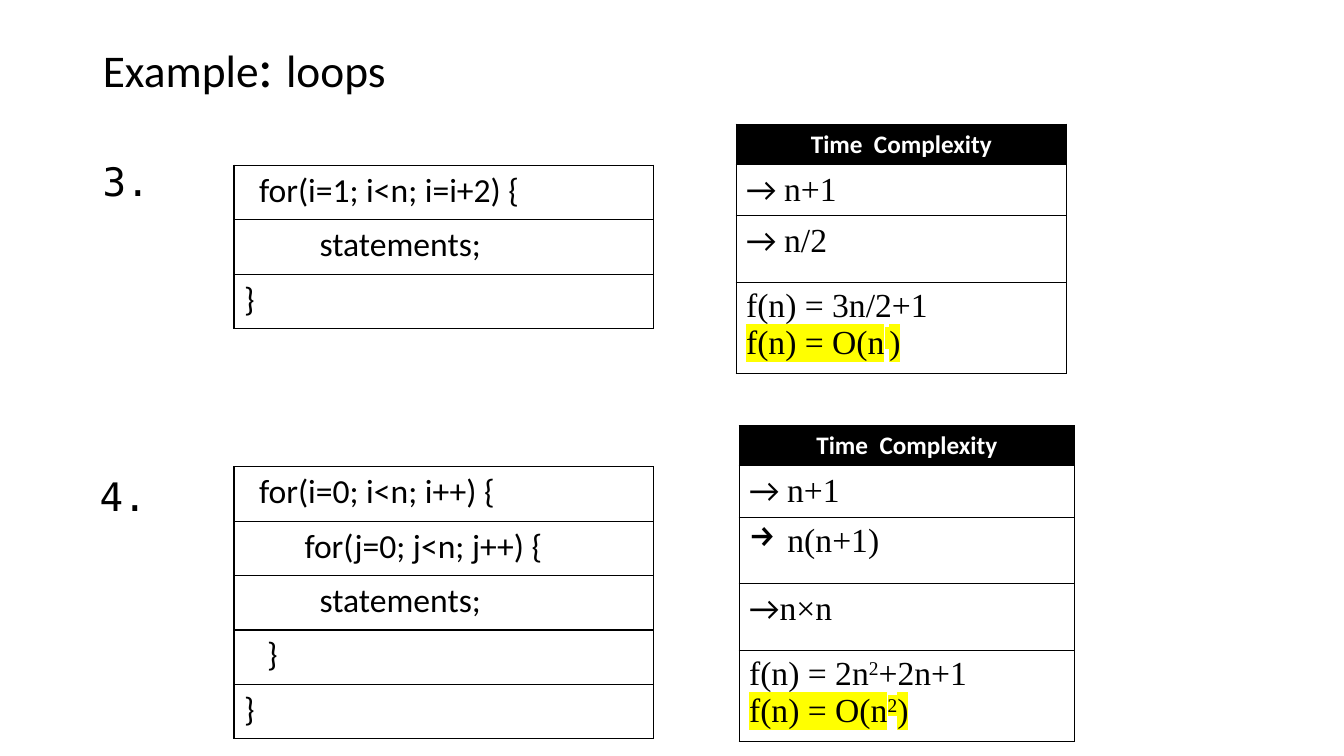
from lxml.etree import SubElement
from pptx import Presentation
from pptx.dml.color import RGBColor
from pptx.enum.text import MSO_ANCHOR, MSO_AUTO_SIZE, PP_ALIGN
from pptx.oxml.ns import qn
from pptx.util import Inches, Pt

BLACK, WHITE, YELLOW = "000000", "FFFFFF", "FFFF00"
SANS, SERIF, MONO = "Calibri", "Times New Roman", "DejaVu Sans Mono"


def tint(code):
    return RGBColor.from_string(code)


def put(par, text, size=24, font=SANS, color=BLACK, bold=False, mark=None, base=0):
    run = par.add_run()
    run.text = text
    run.font.size = Pt(size)
    run.font.bold = bold
    run.font.color.rgb = tint(color)
    if mark:
        prop = run.font.fill._xPr
        light = SubElement(prop, qn("a:highlight"))
        SubElement(light, qn("a:srgbClr"), val=mark)
    if base:
        run.font._element.set("baseline", str(base * 1000))
    run.font.name = font


def frame(cell, width):
    prop = cell._tc.get_or_add_tcPr()
    for side in ("lnL", "lnR", "lnT", "lnB"):
        line = SubElement(prop, qn(f"a:{side}"), w=str(Pt(width)))
        fill = SubElement(line, qn("a:solidFill"))
        SubElement(fill, qn("a:srgbClr"), val=BLACK)


def grid(slide, box, rows, width):
    left, top, wide = box
    shape = slide.shapes.add_table(
        len(rows), 1, Inches(left), Inches(top), Inches(wide), Inches(sum(rows)))
    table = shape.table
    table.first_row = table.horz_banding = False
    for row, high in zip(table.rows, rows):
        row.height = Inches(high)
        frame(row.cells[0], width)
        row.cells[0].fill.background()
    return [row.cells[0] for row in table.rows]


def code(slide, box, lines):
    cells = grid(slide, box, [0.54] * len(lines), 1)
    for cell, (indent, text) in zip(cells, lines):
        cell.margin_left = Inches(0.1 + indent)
        put(cell.text_frame.paragraphs[0], text)


def arrow(par):
    prop = par._p.get_or_add_pPr()
    prop.set("marL", str(Inches(0.38)))
    prop.set("indent", str(-Inches(0.38)))
    SubElement(prop, qn("a:buChar"), char="→")


def cost(slide, box, steps, total, order):
    rows = [0.4, 0.51] + [0.66] * (len(steps) - 1) + [0.84]
    head, *body, last = grid(slide, box, rows, 0.5)
    head.fill.solid()
    head.fill.fore_color.rgb = tint(BLACK)
    par = head.text_frame.paragraphs[0]
    par.alignment = PP_ALIGN.CENTER
    put(par, "Time  Complexity", size=18, color=WHITE, bold=True)
    for cell, (lead, text) in zip(body, steps):
        par = cell.text_frame.paragraphs[0]
        if lead:
            put(par, lead)
        else:
            arrow(par)
        put(par, text, font=SERIF)
    sums = last.text_frame
    for par, runs, mark in ((sums.paragraphs[0], total, None),
                            (sums.add_paragraph(), order, YELLOW)):
        for text, base in runs:
            put(par, text, font=SERIF, mark=mark, base=base)


def label(slide, left, top, text):
    box = slide.shapes.add_textbox(Inches(left), Inches(top), Inches(1.2), Inches(1))
    area = box.text_frame
    area.word_wrap = True
    area.margin_top = Inches(0.52)
    par = area.paragraphs[0]
    par.line_spacing = 0.9
    put(par, text, size=28, font=MONO)


def heading(slide, left, top, wide, high):
    title = slide.shapes.title
    title.left, title.top = Inches(left), Inches(top)
    title.width, title.height = Inches(wide), Inches(high)
    area = title.text_frame
    area.auto_size = MSO_AUTO_SIZE.NONE
    area.vertical_anchor = MSO_ANCHOR.MIDDLE
    par = area.paragraphs[0]
    par.alignment = PP_ALIGN.LEFT
    par.line_spacing = 0.9
    for text, size in (("Example", 32.4), (": ", 39.6), ("loops", 32.4)):
        put(par, text, size=size)


def main():
    deck = Presentation()
    deck.slide_width, deck.slide_height = Inches(13.33), Inches(7.5)
    slide = deck.slides.add_slide(deck.slide_layouts[5])
    heading(slide, 0.92, 0.4, 11.14, 0.58)

    label(slide, 0.92, 1.09, "3.")
    code(slide, (2.32, 1.64, 4.16), [
        (0.15, "for(i=1; i<n; i=i+2) {"), (0.75, "statements;"), (0, "}")])
    cost(slide, (7.3, 1.23, 3.28), [("→ ", "n+1"), ("→ ", "n/2")],
         [("f(n) = 3n/2+1", 0)], [("f(n) = O(n", 0), (" ", 30), (")", 0)])

    label(slide, 0.89, 4.22, "4.")
    code(slide, (2.32, 4.63, 4.16), [
        (0.15, "for(i=0; i<n; i++) {"), (0.6, "for(j=0; j<n; j++) {"),
        (0.75, "statements;"), (0.23, "}"), (0, "}")])
    cost(slide, (7.33, 4.22, 3.33),
         [("→ ", "n+1"), ("", "n(n+1)"), ("→", "n×n")],
         [("f(n) = 2n", 0), ("2", 30), ("+2n+1", 0)],
         [("f(n) = O(n", 0), ("2", 30), (")", 0)])

    deck.save("out.pptx")


if __name__ == "__main__":
    main()
